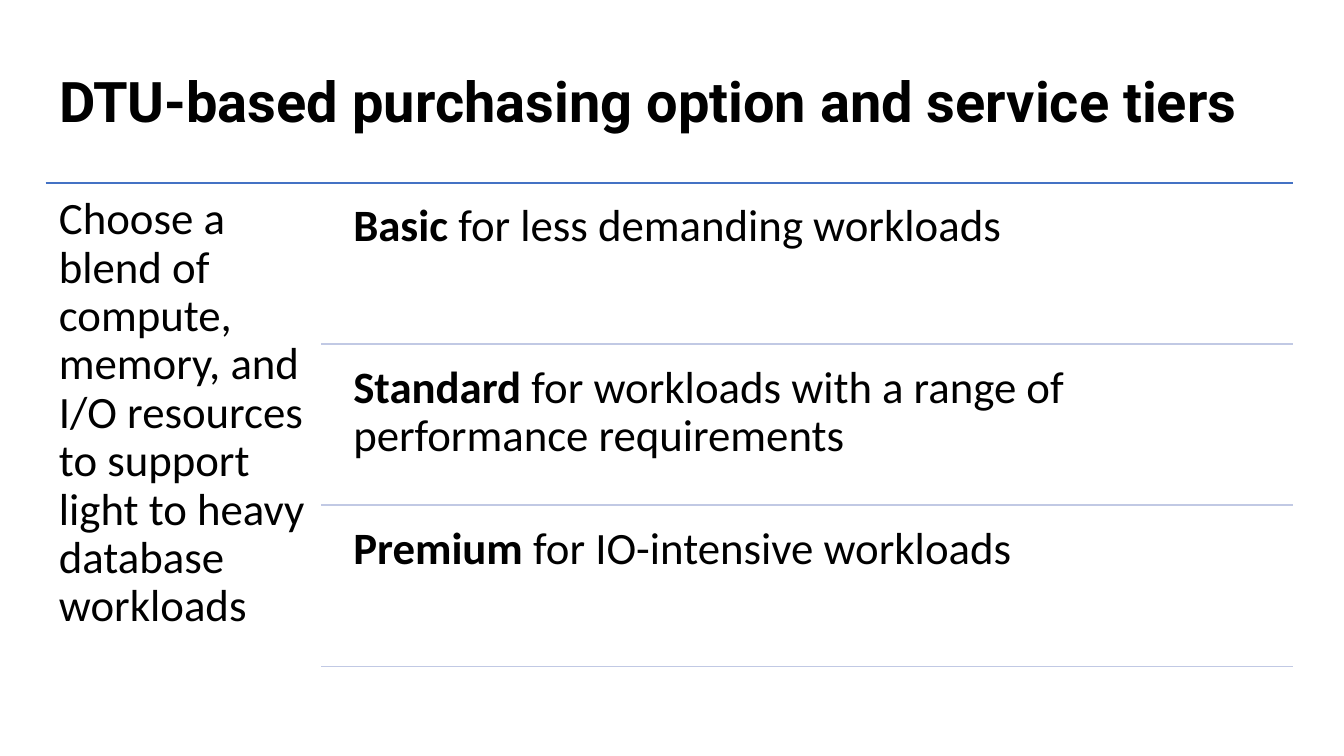
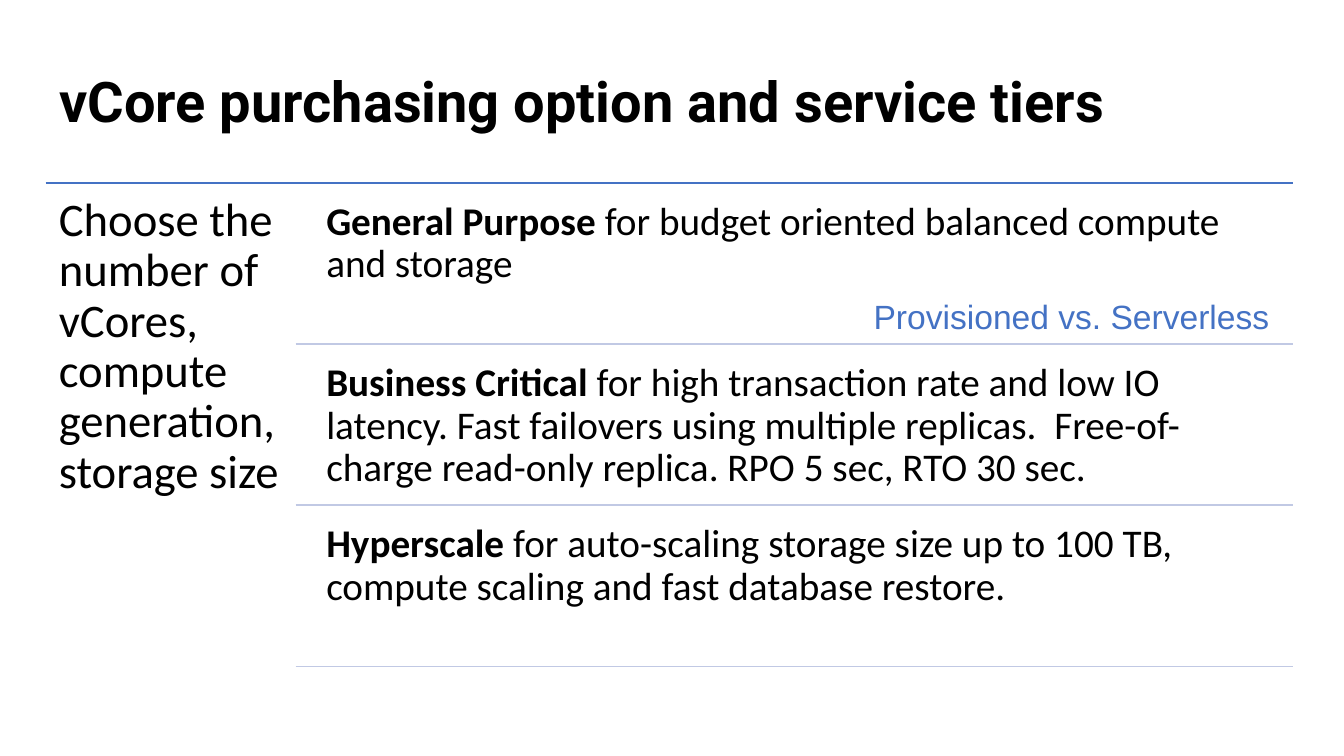
"""Build two slides that compare purchasing options and their service tiers."""
from dataclasses import dataclass

from lxml import etree
from pptx import Presentation
from pptx.dml.color import RGBColor
from pptx.enum.shapes import MSO_CONNECTOR
from pptx.enum.text import MSO_ANCHOR, MSO_AUTO_SIZE, PP_ALIGN
from pptx.oxml.ns import qn
from pptx.util import Pt

STRAIGHT = MSO_CONNECTOR.STRAIGHT
TOP = MSO_ANCHOR.TOP
LEFT = PP_ALIGN.LEFT
FIXED = MSO_AUTO_SIZE.NONE


@dataclass(frozen=True)
class Theme:
    """Colours, fonts and type sizes."""
    ink: str = "000000"
    blue: str = "4472C4"
    pale: str = "C1C9E4"
    head: str = "Roboto"
    body: str = "Calibri"
    plain: str = "Arial"
    title: int = 30
    note: int = 18


THEME = Theme()
EDGE, END = 24.5, 692.6
RULE, STEP = 97.9, 86.4
INDENT, DROP = 10.1, 3.8

DECK = [
    dict(
        title="DTU-based purchasing option and service tiers",
        intro="Choose a blend of compute, memory, and I/O resources "
              "to support light to heavy database workloads",
        split=172.1, large=24, small=24, inset=7.2, note=None,
        tiers=[
            ("Basic", " for less demanding workloads"),
            ("Standard", " for workloads with a range of performance requirements"),
            ("Premium", " for IO-intensive workloads"),
        ],
    ),
    dict(
        title="vCore purchasing option and service tiers",
        intro="Choose the number of vCores, compute generation, storage size",
        split=158.4, large=25, small=21, inset=6.3,
        note="Provisioned vs. Serverless",
        tiers=[
            ("General Purpose ", "for budget oriented balanced compute and storage"),
            ("Business Critical ", "for high transaction rate and low IO latency. "
             "Fast failovers using multiple replicas.  Free-of-charge "
             "read-only replica. RPO 5 sec, RTO 30 sec."),
            ("Hyperscale ", "for auto-scaling storage size up to 100 TB, "
             "compute scaling and fast database restore."),
        ],
    ),
]


def write(shape, text, bold="", size=24, font=THEME.body, color=THEME.ink,
          inset=7.2, top=None, space=0.9):
    """Fill a shape with an optional bold lead and plain text."""
    frame = shape.text_frame
    frame.word_wrap = True
    frame.auto_size = FIXED
    frame.vertical_anchor = TOP
    frame.margin_left = frame.margin_right = frame.margin_bottom = Pt(inset)
    frame.margin_top = Pt(inset if top is None else top)
    para = frame.paragraphs[0]
    para.alignment = LEFT
    para.line_spacing = space
    for part, heavy in ((bold, True), (text, False)):
        if part:
            run = para.add_run()
            run.text = part
            run.font.name = font
            run.font.size = Pt(size)
            run.font.bold = heavy
            run.font.color.rgb = RGBColor.from_string(color)


def rule(slide, left, y, color):
    """Draw a level line from left to the right margin."""
    line = slide.shapes.add_connector(STRAIGHT, Pt(left), Pt(y), Pt(END), Pt(y))
    line.line.color.rgb = RGBColor.from_string(color)
    line.line.width = Pt(1)
    etree.SubElement(line._element.spPr, qn("a:effectLst"))


prs = Presentation()
prs.slide_width, prs.slide_height = Pt(720), Pt(405)

for page in DECK:
    slide = prs.slides.add_slide(prs.slide_layouts[5])
    title = slide.shapes.title
    title.left, title.top = Pt(EDGE), Pt(34.6)
    title.width, title.height = Pt(END - EDGE), Pt(48.2)
    write(title, "", bold=page["title"], size=THEME.title, font=THEME.head, top=5)

    split = page["split"]
    rule(slide, EDGE, RULE, THEME.blue)
    intro = slide.shapes.add_textbox(Pt(EDGE), Pt(RULE), Pt(split - EDGE), Pt(263.5))
    write(intro, page["intro"], size=page["large"])

    left = split + INDENT
    for row, (name, text) in enumerate(page["tiers"]):
        y = RULE + row * STEP
        tier = slide.shapes.add_textbox(Pt(left), Pt(y + DROP), Pt(END - left), Pt(82.1))
        write(tier, text, bold=name, size=page["small"], inset=page["inset"])
        rule(slide, split, y + STEP, THEME.pale)

    if page["note"]:
        note = slide.shapes.add_textbox(Pt(461.5), Pt(152), Pt(234), Pt(51))
        write(note, page["note"], size=THEME.note, font=THEME.plain,
              color=THEME.blue, inset=6.5, space=1.0)

prs.save("out.pptx")
